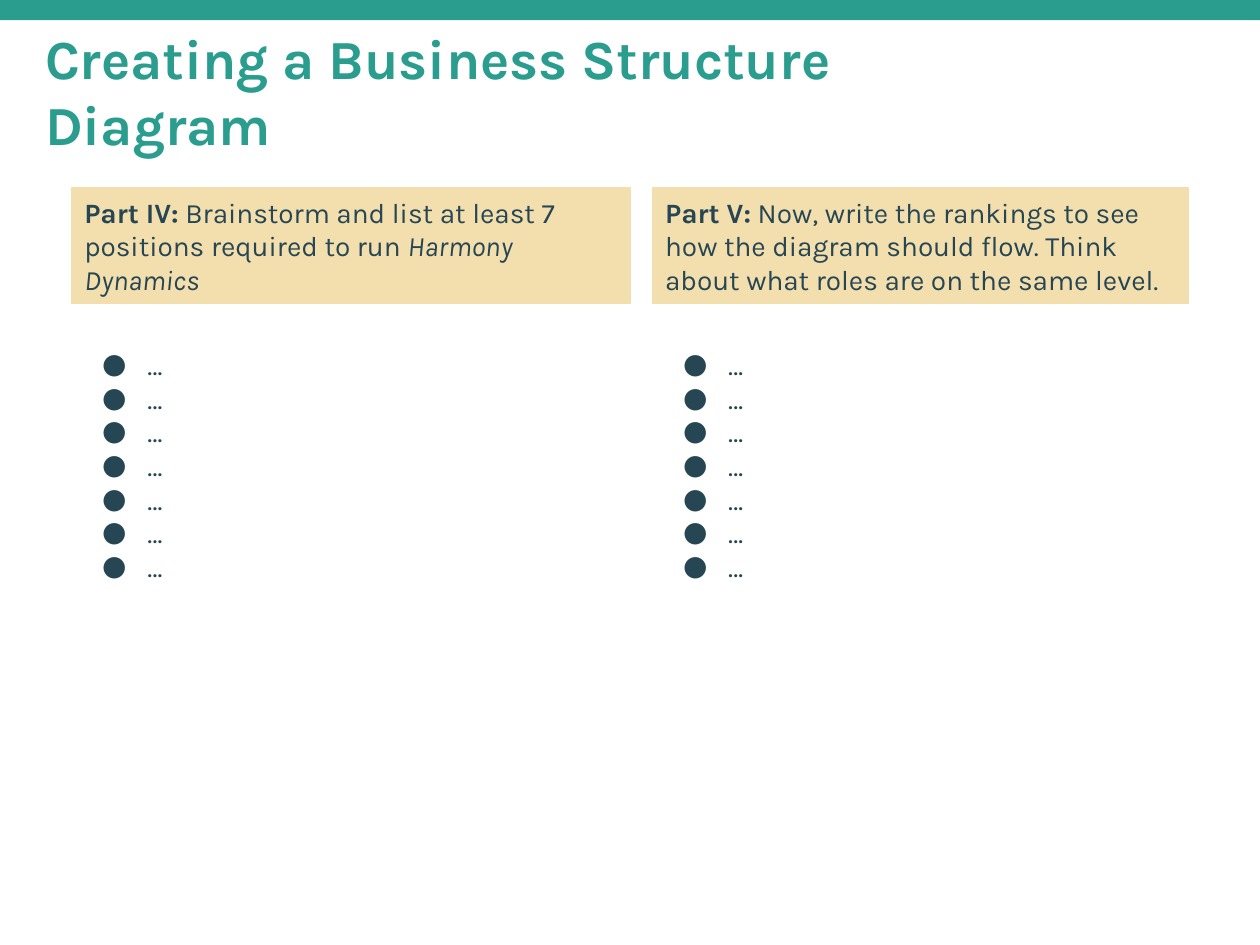
from lxml.etree import SubElement
from pptx import Presentation
from pptx.dml.color import RGBColor
from pptx.enum.shapes import MSO_SHAPE
from pptx.enum.text import MSO_ANCHOR, PP_ALIGN
from pptx.oxml.ns import qn
from pptx.util import Cm, Pt

COLORS = {"teal": "2A9D8F", "sand": "F3DEAD", "navy": "264653"}
FONT = "Karla"
BODY_SIZE = 16
POSITION_COUNT = 7
PROMPT_TOP, PROMPT_HEIGHT = 3.78, 2.34
LIST_TOP, LIST_WIDTH, LIST_HEIGHT = 6.76, 10.8, 6.15
COLUMNS = [
    (1.45, 11.25, [
        ("Part IV:", True, False),
        (" Brainstorm and list at least 7 positions required to run ", False, False),
        ("Harmony Dynamics", False, True),
    ]),
    (13.16, 10.8, [
        ("Part V:", True, False),
        (" Now, write the rankings to see how the diagram should flow. "
         "Think about what roles are on the same level.", False, False),
    ]),
]


def color(name):
    """Return the named palette color."""
    return RGBColor.from_string(COLORS[name])


def add_rectangle(slide, left, top, width, height, fill, outlined=False):
    """Add a flat rectangle, with a thin outline of the same color if asked."""
    shape = slide.shapes.add_shape(
        MSO_SHAPE.RECTANGLE, Cm(left), Cm(top), Cm(width), Cm(height))
    shape.shadow.inherit = False
    shape.fill.solid()
    shape.fill.fore_color.rgb = color(fill)
    if outlined:
        shape.line.color.rgb = color(fill)
        shape.line.width = Pt(0.75)
    else:
        shape.line.fill.background()
    return shape


def set_frame(shape, anchor):
    """Give a shape wrapped text with even insets and return its frame."""
    frame = shape.text_frame
    frame.word_wrap = True
    frame.vertical_anchor = anchor
    frame.margin_left = frame.margin_right = Cm(0.25)
    frame.margin_top = frame.margin_bottom = Cm(0.25)
    return frame


def add_run(paragraph, text, size, name, bold=False, italic=False):
    """Append one formatted run to a left-aligned paragraph."""
    paragraph.alignment = PP_ALIGN.LEFT
    run = paragraph.add_run()
    run.text = text
    run.font.name = FONT
    run.font.size = Pt(size)
    run.font.bold = bold
    run.font.italic = italic
    run.font.color.rgb = color(name)


def set_bullet(paragraph):
    """Give a paragraph a hanging round bullet."""
    properties = paragraph._p.get_or_add_pPr()
    properties.set("marL", str(Cm(1.27)))
    properties.set("indent", str(Cm(-0.91)))
    bullet_color = SubElement(properties, qn("a:buClr"))
    SubElement(bullet_color, qn("a:srgbClr"), val=COLORS["navy"])
    SubElement(properties, qn("a:buFont"), typeface=FONT)
    SubElement(properties, qn("a:buChar"), char="●")


def add_title(slide, text):
    """Add the slide title."""
    box = slide.shapes.add_textbox(Cm(0.66), Cm(1.07), Cm(20.8), Cm(1.5))
    paragraph = set_frame(box, MSO_ANCHOR.MIDDLE).paragraphs[0]
    add_run(paragraph, text, 31.5, "teal", bold=True)


def add_prompt(slide, left, width, runs):
    """Add a sand-colored panel with the instructions of one part."""
    panel = add_rectangle(
        slide, left, PROMPT_TOP, width, PROMPT_HEIGHT, "sand", outlined=True)
    paragraph = set_frame(panel, MSO_ANCHOR.MIDDLE).paragraphs[0]
    for text, bold, italic in runs:
        add_run(paragraph, text, BODY_SIZE, "navy", bold, italic)


def add_answer_list(slide, left):
    """Add a bulleted list of answers to fill in."""
    box = slide.shapes.add_textbox(
        Cm(left), Cm(LIST_TOP), Cm(LIST_WIDTH), Cm(LIST_HEIGHT))
    frame = set_frame(box, MSO_ANCHOR.TOP)
    for index in range(POSITION_COUNT):
        paragraph = frame.add_paragraph() if index else frame.paragraphs[0]
        add_run(paragraph, "…", BODY_SIZE, "navy")
        set_bullet(paragraph)


def main():
    """Build and save the presentation."""
    presentation = Presentation()
    presentation.slide_width = Cm(25.4)
    presentation.slide_height = Cm(19.05)
    slide = presentation.slides.add_slide(presentation.slide_layouts[6])
    add_title(slide, "Creating a Business Structure Diagram")
    for left, width, runs in COLUMNS:
        add_prompt(slide, left, width, runs)
        add_answer_list(slide, left)
    add_rectangle(slide, 0, 0, 25.4, 0.41, "teal")
    presentation.save("out.pptx")


if __name__ == "__main__":
    main()
